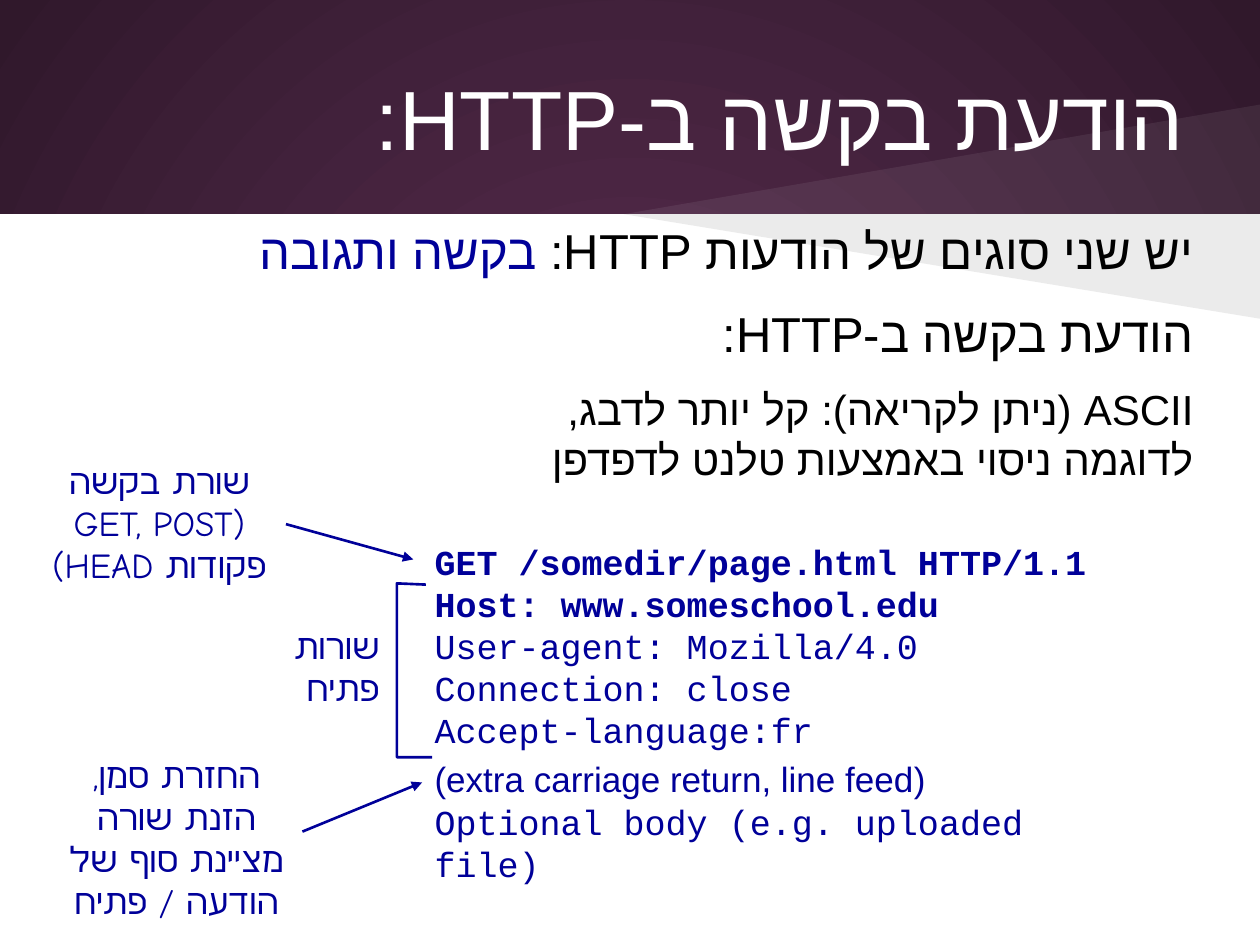
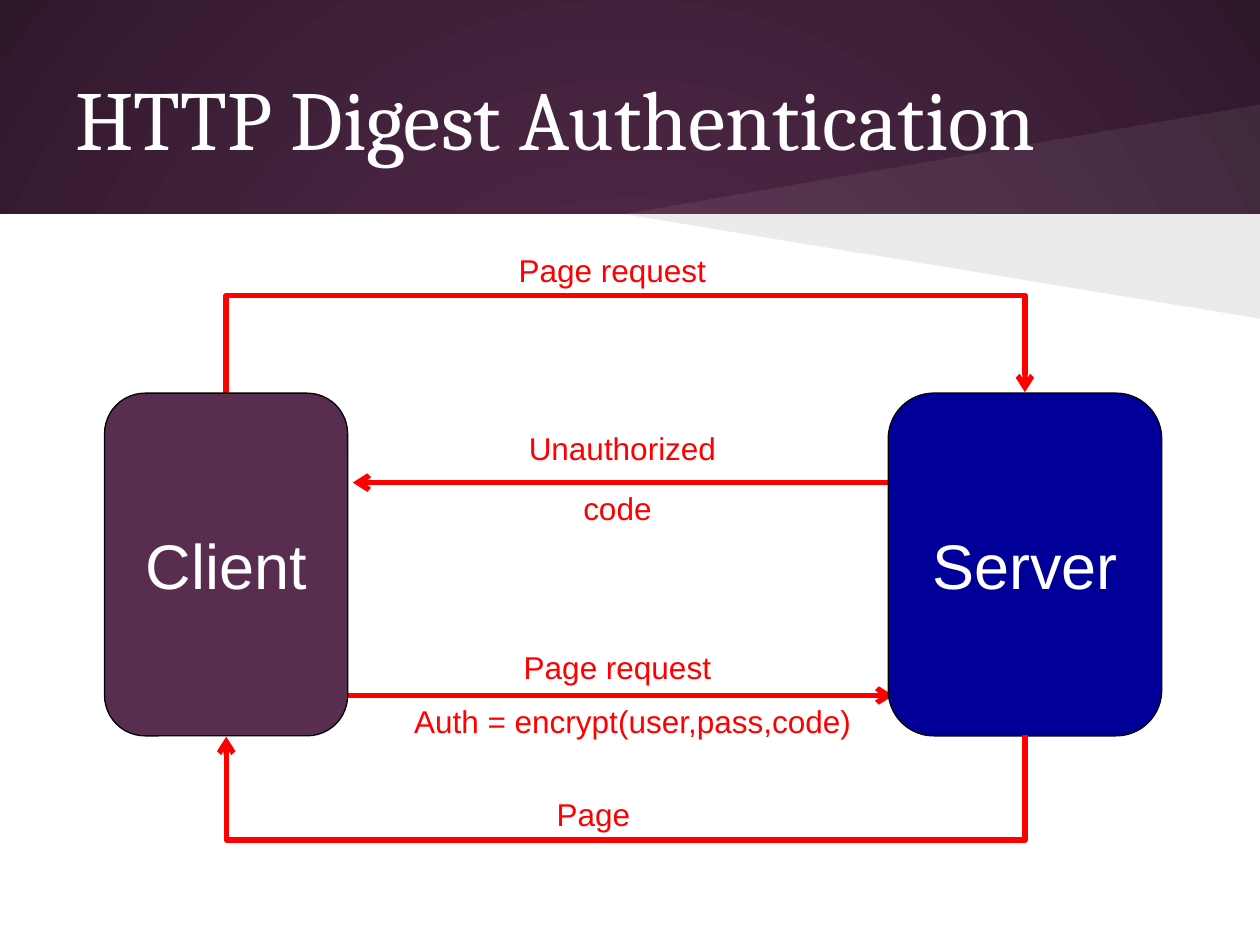
from lxml import etree
from pptx import Presentation
from pptx.dml.color import RGBColor
from pptx.enum.shapes import MSO_CONNECTOR as Connector, MSO_SHAPE as Shape
from pptx.enum.text import MSO_ANCHOR as Anchor, PP_ALIGN as Align
from pptx.oxml.ns import qn
from pptx.util import Inches, Pt

PLUM, DARK_PLUM, NAVY, RED = "592D50", "30182B", "000099", "FF0000"
WHITE, BLACK = "FFFFFF", "000000"
BAND_BOTTOM = 1.7
WEDGES = [(0.83, WHITE, 7), (2.53, BLACK, 8)]

REQUEST_TITLE = "הודעת בקשה ב-HTTP:"
INTRODUCTION = [
    [("יש שני סוגים של הודעות HTTP: ", {}), ("בקשה ותגובה", {"color": NAVY})],
    [("הודעת בקשה ב-HTTP:", {})],
    [("ASCII (ניתן לקריאה): קל יותר לדבג,\nלדוגמה ניסוי באמצעות טלנט לדפדפן", {"size": 24})],
]
REQUEST_LINES = [
    [("GET /somedir/page.html HTTP/1.1", {"bold": True})],
    [("Host: www.someschool.edu", {"bold": True})],
    [("User-agent: Mozilla/4.0", {})],
    [("Connection: close", {})],
    [("Accept-language:fr", {})],
    [("(extra carriage return, line feed)", {"font": "Arial"}),
     (" ", {"font": "Times New Roman", "size": 24})],
    [("Optional body (e.g. uploaded file)", {})],
]
CALLOUTS = [
    ("שורת בקשה\n(GET, POST\nפקודות HEAD)", (0.08, 3.6, 2.37, 1.1), Align.CENTER, True),
    ("שורות\nפתיח", (2.15, 4.91, 0.96, 1.17), Align.RIGHT, False),
    ("החזרת סמן,\nהזנת שורה\nמציינת סוף של\nהודעה / פתיח", (0.43, 5.93, 1.94, 1.85), Align.CENTER, True),
]
CALLOUT_ARROWS = [((2.27, 4.16), (3.28, 4.44)), ((2.4, 6.6), (3.35, 6.21))]
HEADER_BRACKET = [(3.38, 4.64), (3.15, 4.63), (3.15, 6.01), (3.43, 6.01)]

DIGEST_TITLE = "HTTP Digest Authentication"
HOSTS = [("Client", 0.83, 1.93, PLUM), ("Server", 7.05, 2.17, NAVY)]
HOST_TOP, HOST_HEIGHT = 3.12, 2.72
MESSAGE_ARROWS = [((7.17, 3.83), (2.8, 3.83)), ((2.72, 5.52), (7.09, 5.52))]
MESSAGES = [
    ("Page request", 2.95, 1.94, 3.82),
    ("Unauthorized", 3.03, 3.36, 3.82),
    ("code", 2.99, 3.83, 3.82),
    ("Page request", 2.99, 5.09, 3.82),
    ("Auth = encrypt(user,pass,code)", 2.52, 5.52, 5),
    ("Page", 2.8, 6.26, 3.82),
]


def rgb(color):
    return RGBColor.from_string(color)


def paint(shape, fill=None, line=None, width=1, alpha=None):
    shape.shadow.inherit = False
    if fill:
        shape.fill.solid()
        shape.fill.fore_color.rgb = rgb(fill)
    else:
        shape.fill.background()
    if alpha:
        color = shape.element.spPr.find(qn("a:solidFill"))[0]
        etree.SubElement(color, qn("a:alpha")).set("val", str(alpha * 1000))
    if line:
        shape.line.color.rgb = rgb(line)
        shape.line.width = Pt(width)
    else:
        shape.line.fill.background()


def write(shape, content, size=18, font="Arial", color=BLACK, align=Align.LEFT,
          rtl=False, anchor=Anchor.TOP, spacing=0, inset=0.05):
    frame = shape.text_frame
    frame.word_wrap = True
    frame.vertical_anchor = anchor
    frame.margin_top = frame.margin_bottom = Inches(inset)
    paragraphs = [[(content, {})]] if isinstance(content, str) else content
    for index, parts in enumerate(paragraphs):
        paragraph = frame.paragraphs[0] if index == 0 else frame.add_paragraph()
        paragraph.alignment = align
        if rtl:
            paragraph._p.get_or_add_pPr().set("rtl", "1")
        if index and spacing:
            paragraph.space_before = Pt(spacing * parts[0][1].get("size", size))
        for text, style in parts:
            for number, piece in enumerate(text.split("\n")):
                if number:
                    paragraph.add_line_break()
                run = paragraph.add_run()
                run.text = piece
                run.font.size = Pt(style.get("size", size))
                run.font.name = style.get("font", font)
                run.font.bold = style.get("bold", False)
                run.font.color.rgb = rgb(style.get("color", color))
                complex_font = etree.SubElement(run.font._element, qn("a:cs"))
                complex_font.set("typeface", run.font.name)


def add_text(slide, content, box, **style):
    write(slide.shapes.add_textbox(*map(Inches, box)), content, **style)


def add_outline(slide, points, closed):
    points = [(Inches(x), Inches(y)) for x, y in points]
    builder = slide.shapes.build_freeform(*points[0], scale=1)
    builder.add_line_segments(points[1:], close=closed)
    return builder.convert_to_shape()


def finish_connector(connector, color, width, head):
    connector.line.color.rgb = rgb(color)
    connector.line.width = Pt(width)
    etree.SubElement(connector.line._get_or_add_ln(), qn("a:tailEnd")).set("type", head)
    etree.SubElement(connector.element.spPr, qn("a:effectLst"))


def add_arrow(slide, start, end, color, width, head):
    connector = slide.shapes.add_connector(Connector.STRAIGHT, *map(Inches, start + end))
    finish_connector(connector, color, width, head)


def add_detour(slide, left, right, y, depth, flipped):
    thickness = Pt(1)
    x = Inches((left + right) / 2) - thickness // 2
    top = Inches(y - (right - left) / 2)
    connector = slide.shapes.add_connector(
        Connector.ELBOW, x, top, x + thickness, top + Inches(right - left))
    properties = connector.element.spPr
    transform = properties.find(qn("a:xfrm"))
    transform.set("rot", str(90 * 60000))
    if flipped:
        transform.set("flipH", "1")
        transform.set("flipV", "1")
    geometry = properties.find(qn("a:prstGeom"))
    adjustments = geometry.find(qn("a:avLst"))
    if adjustments is None:
        adjustments = etree.SubElement(geometry, qn("a:avLst"))
    guide = etree.SubElement(adjustments, qn("a:gd"))
    guide.set("name", "adj1")
    guide.set("fmla", f"val {round(Inches(depth) / thickness * 100000)}")
    finish_connector(connector, RED, 3, "arrow")


def set_background(master):
    fill = master.background.fill
    fill.gradient()
    for stop, color in zip(fill.gradient_stops, (PLUM, DARK_PLUM)):
        stop.color.rgb = rgb(color)
    gradient = master.element.find(".//" + qn("p:bgPr")).find(qn("a:gradFill"))
    linear = gradient.find(qn("a:lin"))
    circle = etree.Element(qn("a:path"))
    circle.set("path", "circle")
    center = etree.SubElement(circle, qn("a:fillToRect"))
    for side in "ltrb":
        center.set(side, "50000")
    gradient.replace(linear, circle)


def add_slide(presentation, title, **title_style):
    slide = presentation.slides.add_slide(presentation.slide_layouts[6])
    panel = slide.shapes.add_shape(
        Shape.RECTANGLE, 0, Inches(BAND_BOTTOM), Inches(10), Inches(7.5 - BAND_BOTTOM))
    paint(panel, WHITE)
    for tip, color, alpha in WEDGES:
        wedge = add_outline(slide, [(10, BAND_BOTTOM), (4.95, BAND_BOTTOM), (10, tip)], True)
        paint(wedge, color, alpha=alpha)
    add_text(slide, title, (0.5, 0.3, 9, 1.25), size=48, color=WHITE,
             anchor=Anchor.MIDDLE, inset=0.1, **title_style)
    return slide


def build_request(presentation):
    slide = add_slide(presentation, REQUEST_TITLE, align=Align.RIGHT, rtl=True)
    add_text(slide, INTRODUCTION, (0.59, 1.7, 8.98, 2.29), size=28,
             align=Align.RIGHT, rtl=True, spacing=0.5)
    for text, box, align, rtl in CALLOUTS:
        add_text(slide, text, box, size=20, font="Comic Neue", color=NAVY, align=align, rtl=rtl)
    for start, end in CALLOUT_ARROWS:
        add_arrow(slide, start, end, NAVY, 1.5, "triangle")
    paint(add_outline(slide, HEADER_BRACKET, False), line=NAVY, width=1.5)
    add_text(slide, REQUEST_LINES, (3.35, 4.24, 5.85, 2.5), size=20,
             font="Courier New", color=NAVY)


def build_digest(presentation):
    slide = add_slide(presentation, DIGEST_TITLE, font="Cambria")
    client_middle, server_middle = [left + width / 2 for _, left, width, _ in HOSTS]
    add_detour(slide, client_middle, server_middle, HOST_TOP, 0.79, True)
    for start, end in MESSAGE_ARROWS:
        add_arrow(slide, start, end, RED, 3, "arrow")
    for name, left, width, color in HOSTS:
        host = slide.shapes.add_shape(
            Shape.ROUNDED_RECTANGLE, *map(Inches, (left, HOST_TOP, width, HOST_HEIGHT)))
        paint(host, color, BLACK, 0.75)
        write(host, name, size=36, color=WHITE, align=Align.CENTER, anchor=Anchor.MIDDLE)
    for text, left, top, width in MESSAGES:
        add_text(slide, text, (left, top, width, 0.4), color=RED, align=Align.CENTER)
    add_detour(slide, client_middle, server_middle, HOST_TOP + HOST_HEIGHT, 0.84, False)


def main():
    presentation = Presentation()
    presentation.slide_width, presentation.slide_height = Inches(10), Inches(7.5)
    set_background(presentation.slide_master)
    build_request(presentation)
    build_digest(presentation)
    presentation.save("out.pptx")


if __name__ == "__main__":
    main()
